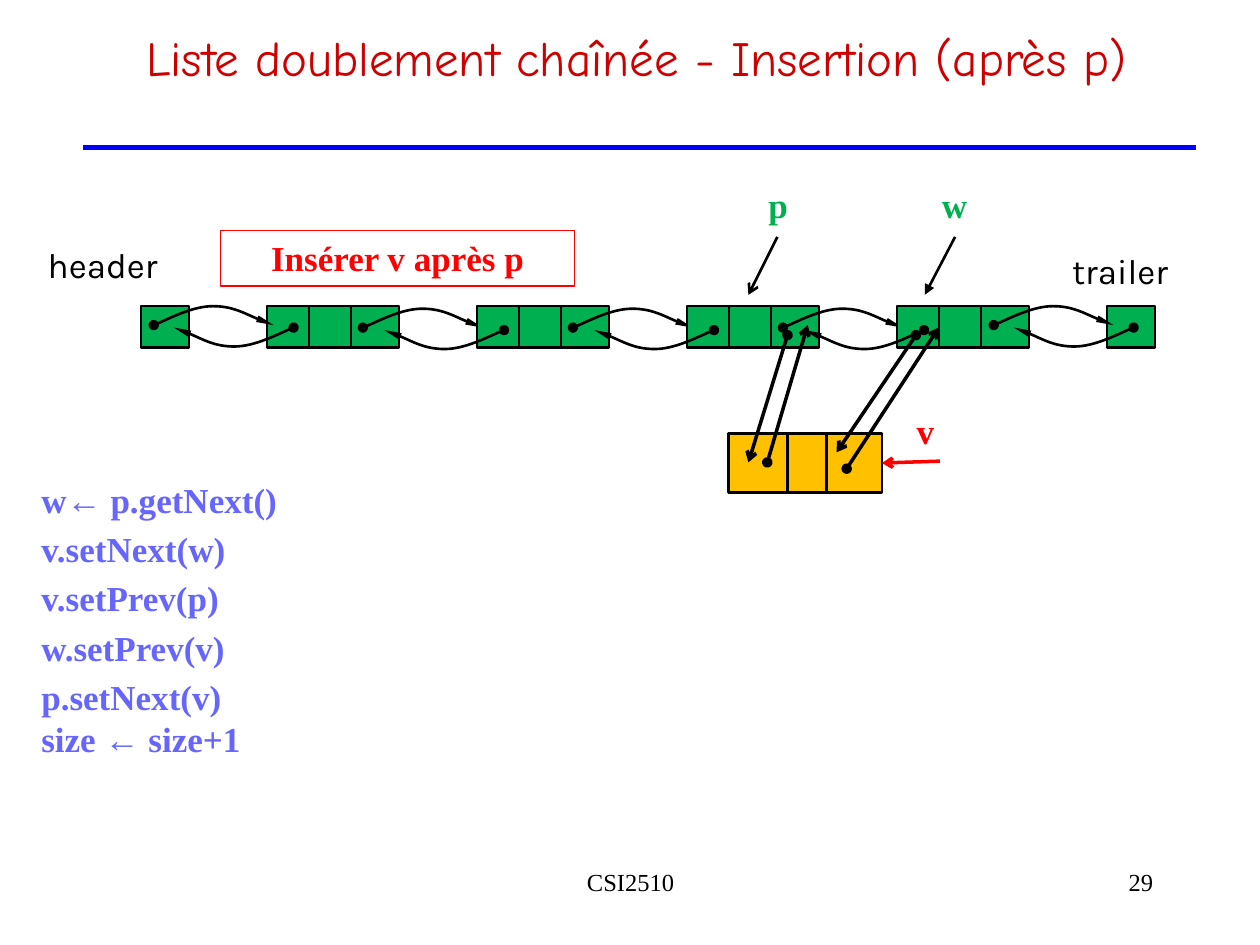
from dataclasses import dataclass

from lxml.etree import SubElement
from pptx import Presentation
from pptx.dml.color import RGBColor
from pptx.enum.shapes import MSO_CONNECTOR, MSO_SHAPE
from pptx.enum.text import MSO_AUTO_SIZE, PP_ALIGN
from pptx.oxml.ns import qn
from pptx.util import Inches, Pt


@dataclass(frozen=True)
class Theme:
    serif: str = "Times New Roman"
    label: str = "Karla"
    heading: str = "Comic Neue"
    symbol: str = "Arial"
    black: str = "000000"
    red: str = "FF0000"
    title: str = "CC0000"
    green: str = "00B050"
    amber: str = "FFC000"
    code: str = "6666FF"
    rule: str = "0000FF"
    title_size: float = 28
    body_size: float = 20
    footer_size: float = 14
    thin: float = 1.5
    thick: float = 2


@dataclass(frozen=True)
class Label:
    lines: tuple[str, ...]
    left: float
    top: float
    width: float
    height: float = 4.4
    font: str = "Times New Roman"
    color: str = "000000"
    size: float = 20
    bold: bool = False
    align: PP_ALIGN = PP_ALIGN.CENTER
    right_inset: float = 1
    grow: bool = True


@dataclass(frozen=True)
class Arrow:
    start: tuple[float, float]
    end: tuple[float, float]
    color: str = "000000"
    width: float = 2
    head: str = ""
    tail: str = "arrow"


THEME = Theme()
presentation = Presentation()
presentation.slide_width = Inches(10)
presentation.slide_height = Inches(7.5)
slide = presentation.slides.add_slide(presentation.slide_layouts[6])

# The grid has 100 columns and 75 rows of equal size
UNIT = presentation.slide_width / 100
CELL_STEP = 10 / 3
NODE_STEP = 5 * CELL_STEP
CELL_WIDTH, CELL_HEIGHT, LIST_TOP = 3.8, 3.3, 24.3
FIRST_CELL = 11.2
NODE_COUNT = 4


def grid(*lengths: float) -> list[int]:
    return [round(length * UNIT) for length in lengths]


def style_line(shape, color: str, width: float) -> None:
    shape.line.color.rgb = RGBColor.from_string(color)
    shape.line.width = Pt(width)


def add_line_ends(shape, head: str, tail: str, width: str = "med", length: str = "med") -> None:
    line = shape._element.spPr.find(qn("a:ln"))
    if head:
        SubElement(line, qn("a:headEnd"), type=head)
    if tail:
        SubElement(line, qn("a:tailEnd"), type=tail, w=width, len=length)


def add_cell(left: float, top: float, width: float, height: float, fill: str):
    cell = slide.shapes.add_shape(MSO_SHAPE.RECTANGLE, *grid(left, top, width, height))
    cell.shadow.inherit = False
    cell.fill.solid()
    cell.fill.fore_color.rgb = RGBColor.from_string(fill)
    style_line(cell, THEME.black, THEME.thin)
    return cell


def add_list_cell(column: int) -> None:
    add_cell(FIRST_CELL + column * CELL_STEP, LIST_TOP, CELL_WIDTH, CELL_HEIGHT, THEME.green)


def add_link(left: float, top: float, direction: int) -> None:
    """Draw a curved link: direction 1 goes to the next node, -1 to the previous."""
    bends = ((0.8, -0.3), (3.1, -1.5), (4.7, -1.5), (6.3, -1.5), (8.5, -0.3), (9.5, 0))
    points = [grid(left + direction * x, top + direction * y) for x, y in bends]
    builder = slide.shapes.build_freeform(*grid(left, top))
    builder.add_line_segments(points, close=False)
    link = builder.convert_to_shape()
    link.shadow.inherit = False
    link.fill.background()
    style_line(link, THEME.black, THEME.thin)
    add_line_ends(link, "oval", "triangle", "sm", "lg")
    # Every three straight segments become one Bézier segment
    segments = list(link._element.iter(qn("a:lnTo")))
    outline = segments[0].getparent()
    for index in range(0, len(segments), 3):
        curve = SubElement(outline, qn("a:cubicBezTo"))
        for segment in segments[index:index + 3]:
            curve.append(segment[0])
            outline.remove(segment)


def add_arrow(arrow: Arrow):
    connector = slide.shapes.add_connector(
        MSO_CONNECTOR.STRAIGHT, *grid(*arrow.start, *arrow.end))
    style_line(connector, arrow.color, arrow.width)
    add_line_ends(connector, arrow.head, arrow.tail)
    SubElement(connector._element.spPr, qn("a:effectLst"))
    return connector


def add_label(label: Label):
    box = slide.shapes.add_textbox(*grid(label.left, label.top, label.width, label.height))
    frame = box.text_frame
    frame.word_wrap = True
    frame.auto_size = MSO_AUTO_SIZE.SHAPE_TO_FIT_TEXT if label.grow else MSO_AUTO_SIZE.NONE
    frame.margin_right = grid(label.right_inset)[0]
    for index, line in enumerate(label.lines):
        paragraph = frame.add_paragraph() if index else frame.paragraphs[0]
        paragraph.alignment = label.align
        before, symbol, after = line.partition("←")
        for text in filter(None, (before, symbol, after)):
            run = paragraph.add_run()
            run.text = text
            run.font.name = THEME.symbol if text == "←" else label.font
            run.font.size = Pt(label.size)
            run.font.bold = label.bold
            run.font.color.rgb = RGBColor.from_string(label.color)
    return box


# Footer and instruction
add_label(Label(("CSI2510",), 34.2, 68.3, 31.7, 5, size=THEME.footer_size, grow=False))
add_label(Label(("29",), 71.7, 68.3, 20.8, 5, size=THEME.footer_size,
                align=PP_ALIGN.RIGHT, grow=False))
instruction = add_label(Label(("Insérer v après p",), 17.5, 18.3, 28.1,
                              color=THEME.red, bold=True))
style_line(instruction, THEME.red, 0.75)

# Doubly linked list: inner nodes, then header and trailer
for node in range(NODE_COUNT):
    for part in range(3):
        add_list_cell(3 + 5 * node + part)
    if node < NODE_COUNT - 1:
        add_link(28.8 + node * NODE_STEP, 26, 1)
for node in range(NODE_COUNT - 1):
    add_link(40 + node * NODE_STEP, 26.2, -1)
for column in (23, 0):
    add_list_cell(column)
for node in (NODE_COUNT, 0):
    add_link(12.2 + node * NODE_STEP, 25.8, 1)
    add_link(23.3 + node * NODE_STEP, 26, -1)
add_label(Label(("trailer",), 83.7, 19.3, 10.4, font=THEME.label))
add_label(Label(("header",), 2.3, 18.8, 11.7, font=THEME.label))

# New node v
for left, width in ((57.8, 5.5), (62.5, 4.4), (65.6, 4.4)):
    last_cell = add_cell(left, 34.4, width, 4.7, THEME.amber)
pointer = add_arrow(Arrow((74.6, 36.6), (70, 36.75), color=THEME.red))
pointer.end_connect(last_cell, 3)

# Node names and their pointers
for name, left, top, color in (("v", 71.1, 32, THEME.red),
                               ("w", 73.4, 14.1, THEME.green),
                               ("p", 59.4, 14.1, THEME.green)):
    add_label(Label((name,), left, top, 4.7, color=color, bold=True))
add_arrow(Arrow((75.8, 18.8), (73.4, 23.4), width=THEME.thin, tail="triangle"))
add_arrow(Arrow((61.7, 18.8), (59.4, 23.4), width=THEME.thin))

# References between v and its neighbours
for start, end in (((67.2, 37.2), (74.5, 26)), ((60.9, 36.7), (64.1, 25.8)),
                   ((72.7, 26.6), (66.4, 35.9)), ((62.5, 26.6), (59.4, 36.7))):
    add_arrow(Arrow(start, end, width=THEME.thick, head="oval"))

# Insertion steps
STEPS = (
    (("w← p.getNext()",), 27.8, 4.4),
    (("v.setNext(w)",), 17.2, 4.4),
    (("v.setPrev(p)",), 22.7, 4.4),
    (("w.setPrev(v)",), 25.8, 4.4),
    (("p.setNext(v)", "size ← size+1"), 24.2, 7.7),
)
for row, (lines, width, height) in enumerate(STEPS):
    add_label(Label(lines, 2.3, 37.5 + 3.9 * row, width, height, color=THEME.code,
                    size=THEME.body_size, bold=True, align=PP_ALIGN.LEFT))

# Title and rule
add_arrow(Arrow((6.6, 11.7), (94.9, 11.7), color=THEME.rule, width=3.25, tail=""))
add_label(Label(("Liste doublement chaînée - Insertion (après p)",), 5.1, 1.7, 94.9, 8.2,
                font=THEME.heading, color=THEME.title, size=THEME.title_size,
                right_inset=5.1, grow=False))

presentation.save("out.pptx")
